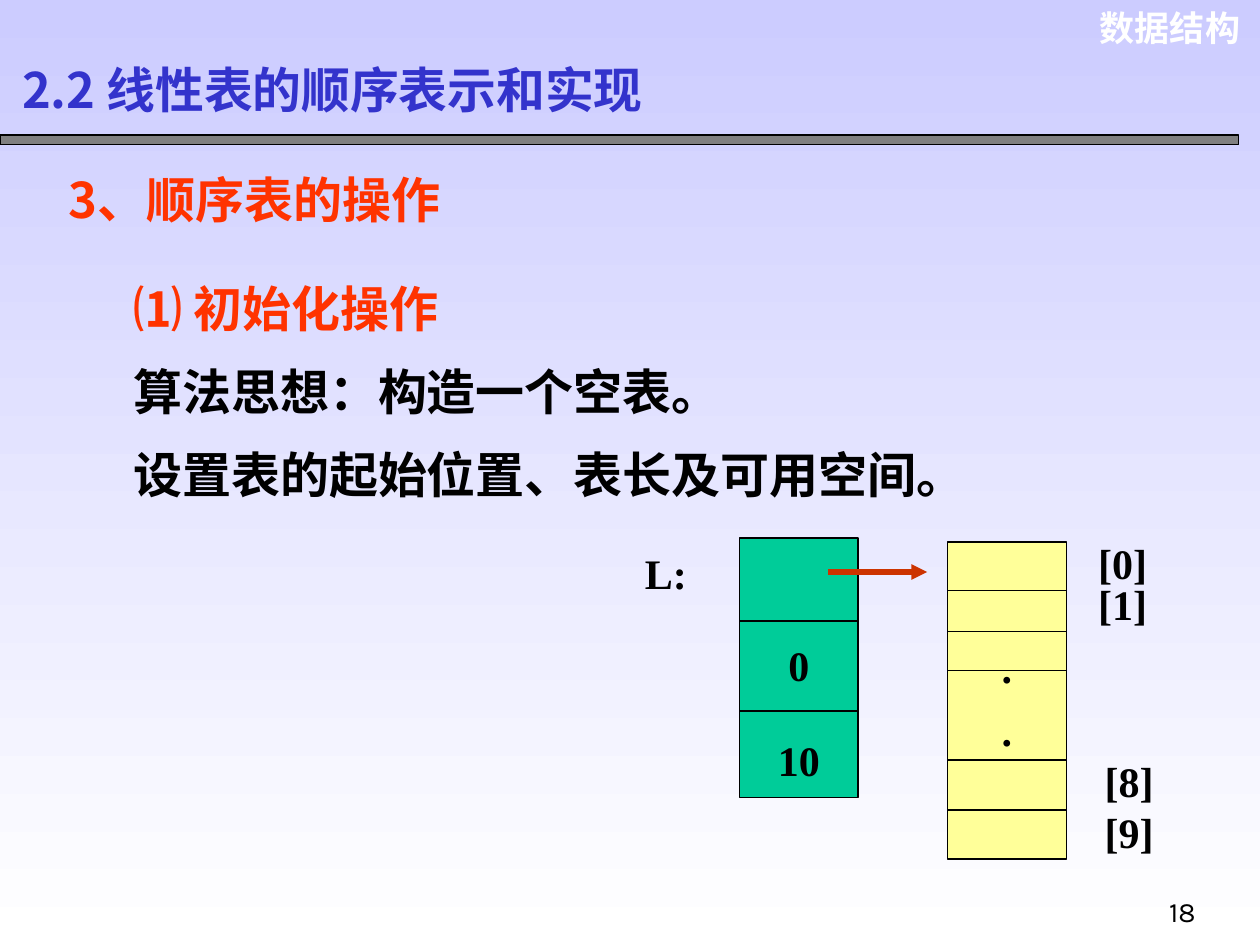
from lxml.etree import SubElement
from pptx import Presentation
from pptx.dml.color import RGBColor
from pptx.enum.shapes import MSO_CONNECTOR, MSO_SHAPE
from pptx.enum.text import MSO_ANCHOR, PP_ALIGN
from pptx.oxml.ns import qn
from pptx.util import Cm, Pt

BLACK = RGBColor(0x00, 0x00, 0x00)
WHITE = RGBColor(0xFF, 0xFF, 0xFF)
LAVENDER = RGBColor(0xCC, 0xCC, 0xFF)
GREY = RGBColor(0x80, 0x80, 0x80)
BLUE = RGBColor(0x33, 0x33, 0xCC)
ORANGE = RGBColor(0xFF, 0x33, 0x00)
GREEN = RGBColor(0x00, 0xCC, 0x99)
YELLOW = RGBColor(0xFF, 0xFF, 0x99)
RED = RGBColor(0xCC, 0x33, 0x00)
SERIF = "Times New Roman"
SANS = "Noto Sans CJK SC"

deck = Presentation()
deck.slide_width, deck.slide_height = Cm(25.4), Cm(19.05)
page = deck.slides.add_slide(deck.slide_layouts[6])

background = page.background.fill
background.gradient()
background.gradient_angle = 270
for stop, color in zip(background.gradient_stops, (LAVENDER, WHITE)):
    stop.color.rgb = color


def write(text, place=None, shape=None, size=24, font=SERIF, color=BLACK,
          bold=True, align=PP_ALIGN.LEFT, anchor=MSO_ANCHOR.TOP,
          spacing=1.0, before=0):
    """Write one paragraph per line of text into shape, or a new box at place."""
    box = shape or page.shapes.add_textbox(*map(Cm, place))
    frame = box.text_frame
    frame.word_wrap = True
    frame.vertical_anchor = anchor
    frame.text = text
    for index, para in enumerate(frame.paragraphs):
        para.alignment = align
        para.line_spacing = spacing
        para.space_before = Pt(before if index else 0)
        for span in para.runs:
            span.font.size = Pt(size)
            span.font.name = font
            span.font.bold = bold
            span.font.color.rgb = color
            SubElement(span.font._element, qn("a:ea"), typeface=SANS)
    return frame


def add_line(left, right, y, color=BLACK, width=0.75):
    line = page.shapes.add_connector(
        MSO_CONNECTOR.STRAIGHT, Cm(left), Cm(y), Cm(right), Cm(y))
    line.line.color.rgb = color
    line.line.width = Pt(width)
    SubElement(line._element.spPr, qn("a:effectLst"))
    return line


# Header, titles and body
write("数据结构", (21.77, 0, 3.48, 1.12), size=20, font="Arial", color=WHITE,
      align=PP_ALIGN.RIGHT)
write("2.2 线性表的顺序表示和实现", (0.2, 1.14, 18.26, 1.52), size=27.9,
      font=SANS, color=BLUE, anchor=MSO_ANCHOR.MIDDLE, spacing=0.8)
write("3、顺序表的操作", (1.14, 3.38, 21.16, 1.27), size=28, font=SANS,
      color=ORANGE, anchor=MSO_ANCHOR.MIDDLE)
body = write("⑴ 初始化操作\n算法思想：构造一个空表。\n设置表的起始位置、表长及可用空间。",
             (2.44, 5, 21.5, 5.24), size=28, spacing=Pt(47.4))
body.paragraphs[0].runs[0].font.color.rgb = ORANGE

# Header rule, list record and storage array, with their dividing lines
blocks = []
for left, top, width, height, fill, weight, dividers in (
    (0, 2.72, 24.97, 0.2, GREY, 0.75, ()),
    (14.91, 10.85, 2.39, 5.23, GREEN, 1, (12.52, 14.33)),
    (19.1, 10.92, 2.4, 6.4, YELLOW, 1, (11.91, 12.73, 13.51, 15.32, 16.33)),
):
    block = page.shapes.add_shape(
        MSO_SHAPE.RECTANGLE, Cm(left), Cm(top), Cm(width), Cm(height))
    block.shadow.inherit = False
    block.fill.solid()
    block.fill.fore_color.rgb = fill
    block.line.color.rgb = BLACK
    block.line.width = Pt(weight)
    for y in dividers:
        add_line(left, left + width, y)
    blocks.append(block)

rule, record, storage = blocks
write("0\n10", shape=record, align=PP_ALIGN.CENTER, anchor=MSO_ANCHOR.BOTTOM,
      spacing=1.5, before=11).margin_bottom = Cm(0.25)
write(".\n.", shape=storage, align=PP_ALIGN.CENTER, spacing=0.9,
      before=10).margin_top = Cm(2.13)

arrow = add_line(16.69, 18.69, 11.53, RED, 3)
SubElement(arrow.line._get_or_add_ln(), qn("a:tailEnd"), type="triangle")

# Labels and page number
for label, left, top in (
    ("L:", 12.75, 10.92),
    ("[0]", 21.89, 10.72),
    ("[1]", 21.89, 11.53),
    ("[8]", 22.02, 15.11),
    ("[9]", 22.02, 16.13),
):
    write(label, (left, top, 1.8, 1.27))
write("18", (23.32, 17.91, 2, 1.07), size=16, font="Karla", bold=False)

deck.save("out.pptx")
